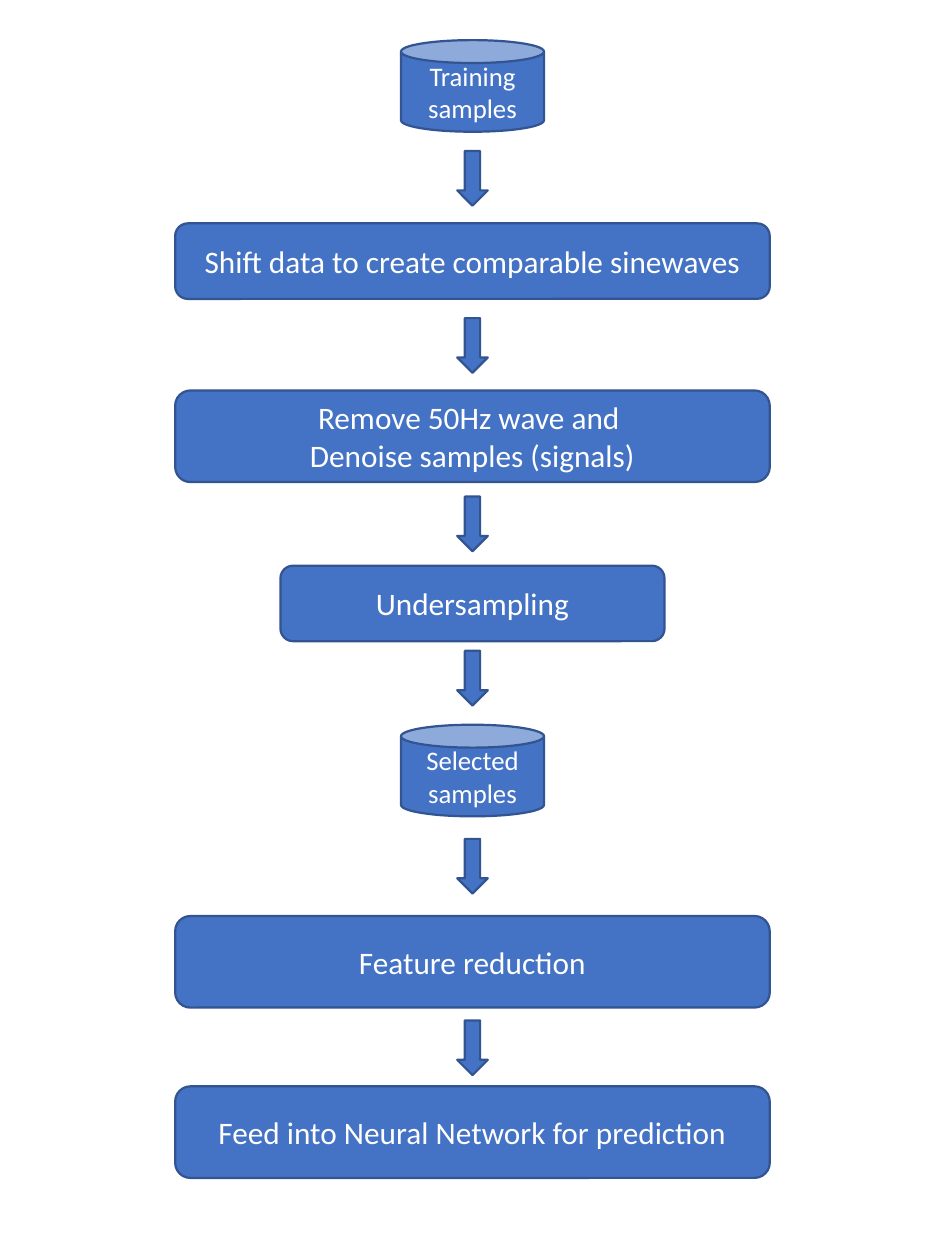
from dataclasses import dataclass

from pptx import Presentation
from pptx.dml.color import RGBColor
from pptx.enum.shapes import MSO_SHAPE
from pptx.enum.text import MSO_ANCHOR, PP_ALIGN
from pptx.util import Inches, Pt

STORE = MSO_SHAPE.CAN
STEP = MSO_SHAPE.ROUNDED_RECTANGLE
ARROW = MSO_SHAPE.DOWN_ARROW
MIDDLE = MSO_ANCHOR.MIDDLE
CENTER = PP_ALIGN.CENTER


@dataclass(frozen=True)
class Theme:
    fill: RGBColor = RGBColor(0x44, 0x72, 0xC4)
    outline: RGBColor = RGBColor(0x32, 0x54, 0x91)
    text: RGBColor = RGBColor(0xFF, 0xFF, 0xFF)
    font: str = "Calibri"
    store_size: int = 12
    step_size: int = 14


THEME = Theme()

# Pipeline stages: kind, lines of text, top, width, height
STAGES = [
    (STORE, ["Training samples"], 0.25, 0.89, 0.57),
    (STEP, ["Shift data to create comparable sinewaves"], 1.39, 3.70, 0.47),
    (STEP, ["Remove 50Hz wave and ", "Denoise samples (signals)"], 2.43, 3.70, 0.57),
    (STEP, ["Undersampling"], 3.52, 2.39, 0.47),
    (STORE, ["Selected samples"], 4.51, 0.89, 0.57),
    (STEP, ["Feature reduction"], 5.70, 3.70, 0.57),
    (STEP, ["Feed into Neural Network for prediction"], 6.76, 3.70, 0.57),
]
# Top of the arrow that follows each stage but the last
ARROW_TOPS = [0.94, 1.98, 3.09, 4.05, 5.22, 6.35]
ARROW_WIDTH, ARROW_HEIGHT = 0.19, 0.34

PAGE_WIDTH, PAGE_HEIGHT = 5.88, 7.84
AXIS = PAGE_WIDTH / 2

prs = Presentation()
prs.slide_width = Inches(PAGE_WIDTH)
prs.slide_height = Inches(PAGE_HEIGHT)
slide = prs.slides.add_slide(prs.slide_layouts[6])


def add_on_axis(kind, top, width, height):
    """Add a themed shape centred on the flow axis."""
    part = slide.shapes.add_shape(
        kind, Inches(AXIS - width / 2), Inches(top), Inches(width), Inches(height)
    )
    part.shadow.inherit = False
    part.fill.solid()
    part.fill.fore_color.rgb = THEME.fill
    part.line.color.rgb = THEME.outline
    part.line.width = Pt(1)
    return part


def write_label(stage, lines, size):
    frame = stage.text_frame
    frame.word_wrap = True
    frame.vertical_anchor = MIDDLE
    label = frame.paragraphs[0]
    label.alignment = CENTER
    for index, line in enumerate(lines):
        if index:
            label.add_line_break()
        run = label.add_run()
        run.text = line
        run.font.name = THEME.font
        run.font.size = Pt(size)
        run.font.color.rgb = THEME.text


# Stages
for kind, lines, top, width, height in STAGES:
    stage = add_on_axis(kind, top, width, height)
    write_label(stage, lines, THEME.store_size if kind == STORE else THEME.step_size)

# Arrows between stages
for top in ARROW_TOPS:
    add_on_axis(ARROW, top, ARROW_WIDTH, ARROW_HEIGHT)

prs.save("out.pptx")
